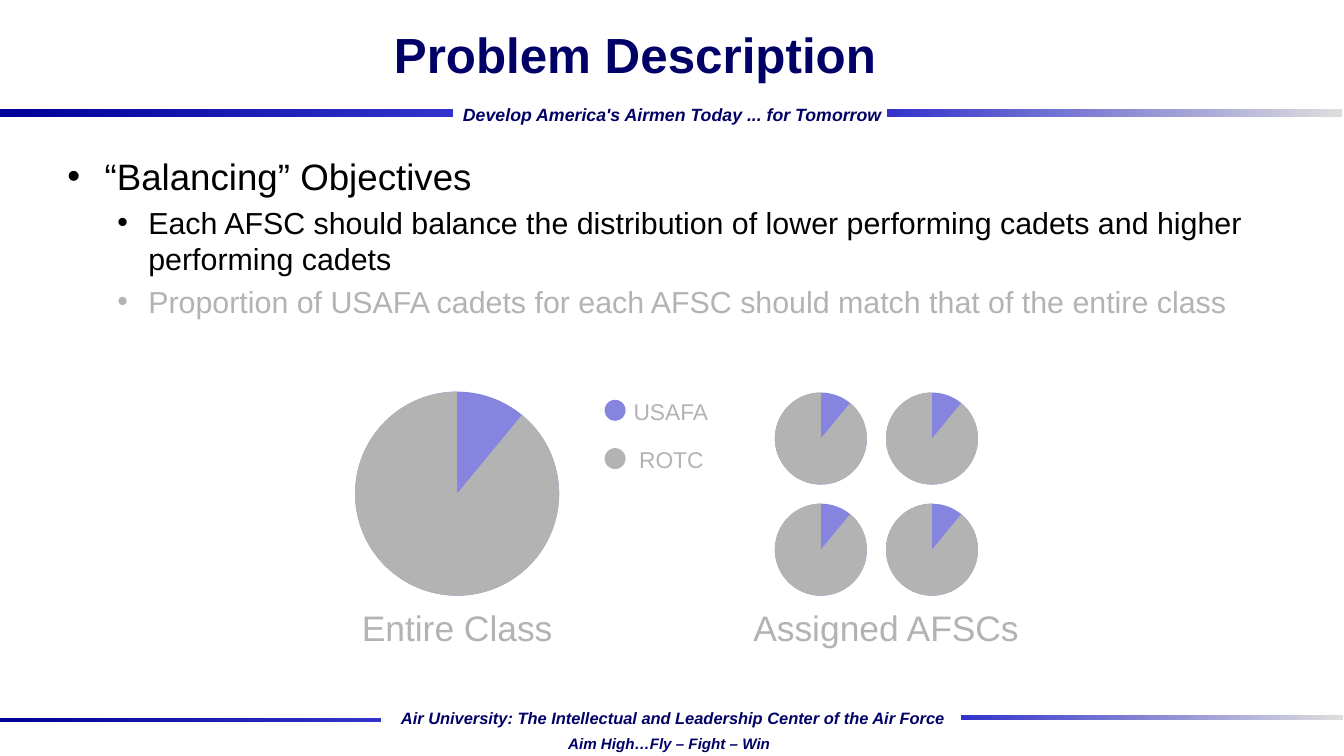
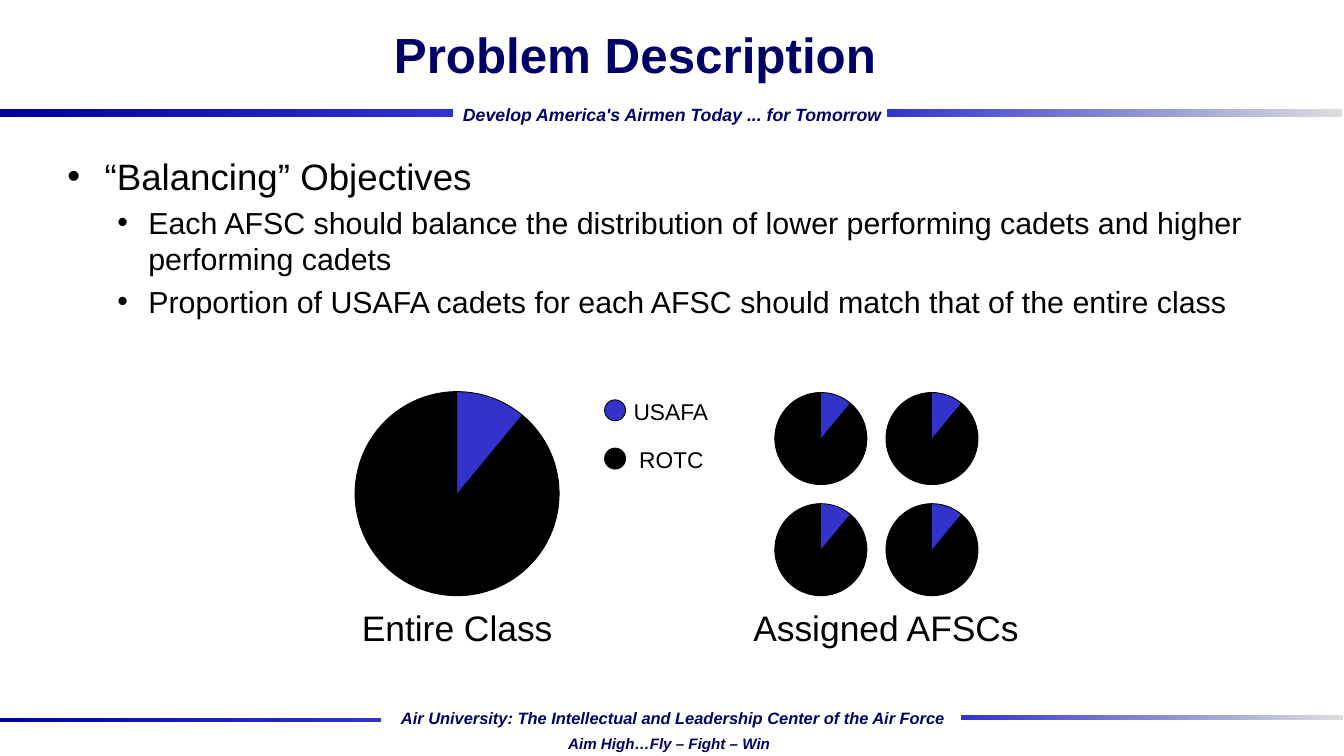
"""Build two slides on balancing objectives, first dimmed and then in full."""
from itertools import product

from lxml import etree
from pptx import Presentation
from pptx.dml.color import RGBColor
from pptx.enum.shapes import MSO_SHAPE
from pptx.enum.text import MSO_ANCHOR, PP_ALIGN
from pptx.oxml.ns import qn
from pptx.util import Inches, Pt

RECT, OVAL, PIE = MSO_SHAPE.RECTANGLE, MSO_SHAPE.OVAL, MSO_SHAPE.PIE
LEFT, CENTER = PP_ALIGN.LEFT, PP_ALIGN.CENTER
TOP, MIDDLE = MSO_ANCHOR.TOP, MSO_ANCHOR.MIDDLE

FONT = "Arial"
NAVY = RGBColor(0x00, 0x00, 0x66)
DEEP = RGBColor(0x00, 0x00, 0x99)
BLUE = RGBColor(0x33, 0x33, 0xCC)
PALE = RGBColor(0x85, 0x85, 0xE0)
SILVER = RGBColor(0xDD, 0xDD, 0xDD)
GRAY = RGBColor(0xB3, 0xB3, 0xB3)
BLACK = RGBColor(0x00, 0x00, 0x00)

BANDS = [
    (-0.02, 1.2, 5, 0.09, DEEP, BLUE),
    (9.74, 1.2, 5, 0.09, BLUE, SILVER),
    (-0.02, 7.88, 4.2, 0.05, DEEP, BLUE),
    (10.55, 7.85, 4.2, 0.05, BLUE, SILVER),
]
MOTTOS = [
    (4.97, 1.09, 4.83, 0.34, "Develop America's Airmen Today ... for Tomorrow", 14),
    (4.26, 7.72, 6.25, 0.31,
     "Air University: The Intellectual and Leadership Center of the Air Force", 13),
    (6.11, 8.01, 2.48, 0.29, "Aim High…Fly – Fight – Win", 12),
]
WEDGE = (185.727, 162)


def style(para, size, color, bold=False, italic=False):
    """Set the font of every run in a paragraph."""
    for run in para.runs:
        font = run.font
        font.name, font.size = FONT, Pt(size)
        font.bold, font.italic = bold, italic
        font.color.rgb = color


def label(shapes, box, text, size, color, align=CENTER, wrap=True,
          anchor=TOP, bold=False, italic=False):
    """Add a one-paragraph text box."""
    frame = shapes.add_textbox(*map(Inches, box)).text_frame
    frame.word_wrap, frame.vertical_anchor = wrap, anchor
    frame.text = text
    para = frame.paragraphs[0]
    para.alignment = align
    style(para, size, color, bold, italic)


def solid(shapes, kind, box, color, edge=None):
    """Add a plain filled shape with an optional thin edge."""
    shape = shapes.add_shape(kind, *map(Inches, box))
    shape.shadow.inherit = False
    shape.fill.solid()
    shape.fill.fore_color.rgb = color
    if edge is None:
        shape.line.fill.background()
    else:
        shape.line.color.rgb = edge
        shape.line.width = Pt(0.75)
    return shape


def band(shapes, box, start, end):
    """Add a bar that fades from one colour to another."""
    fill = solid(shapes, RECT, box, start).fill
    fill.gradient()
    fill.gradient_angle = 0
    for stop, color in zip(fill.gradient_stops, (start, end)):
        stop.color.rgb = color


def frame(slide, title):
    """Add the title, bands and mottos that all slides share."""
    for *box, start, end in BANDS:
        band(slide.shapes, box, start, end)
    for *box, text, size in MOTTOS:
        label(slide.shapes, box, text, size, NAVY, wrap=False, bold=True, italic=True)
    label(slide.shapes, (1.26, 0, 11.43, 1.17), title, 39, NAVY,
          anchor=MIDDLE, bold=True)


def bullets(slide, box, items):
    """Add a bulleted list of (level, text, colour) items."""
    body = slide.shapes.add_textbox(*map(Inches, box)).text_frame
    body.word_wrap = True
    body.margin_left = body.margin_right = Inches(0.11)
    body.text = "\n".join(text for _, text, _ in items)
    for place, (para, (level, _, color)) in enumerate(zip(body.paragraphs, items)):
        left, hang, size = ((0.41, 0.41, 29), (0.89, 0.34, 24))[level]
        para.level = level
        props = para._p.get_or_add_pPr()
        props.set("marL", str(Inches(left)))
        props.set("indent", str(-Inches(hang)))
        if place:
            para.space_before = Pt(size * 0.2)
        etree.SubElement(props, qn("a:buFont")).set("typeface", FONT)
        etree.SubElement(props, qn("a:buChar")).set("char", "•")
        style(para, size, color)


def pie(shapes, left, top, size, part, rest, edge):
    """Add a disc with a wedge of one colour and the rest in another."""
    box = left, top, size, size
    solid(shapes, OVAL, box, part, edge)
    cover = solid(shapes, PIE, box, rest)
    for place, value in enumerate(WEDGE):
        cover.adjustments[place] = value


def figure(slide, part, rest, edge):
    """Add the class pie, the key and the grid of assigned pies."""
    shapes = slide.shapes.add_group_shape().shapes
    pie(shapes, 3.9, 4.3, 2.24, part, rest, edge)
    for row, col in product(range(2), repeat=2):
        pie(shapes, 8.51 + 1.22 * col, 4.31 + 1.22 * row, 1.01, part, rest, edge)
    keys = (("USAFA", part, 6.86, 1.03), ("ROTC", rest, 6.92, 0.92))
    for row, (text, color, left, width) in enumerate(keys):
        top = 4.39 + 0.53 * row
        solid(shapes, OVAL, (6.64, top, 0.23, 0.23), color, edge)
        label(shapes, (left, top - 0.07, width, 0.4), text, 18, rest, LEFT, wrap=False)
    for left, text in ((2.7, "Entire Class"), (7.41, "Assigned AFSCs")):
        label(shapes, (left, 6.6, 4.64, 0.87), text, 28, rest)


def main():
    """Build and save the deck."""
    deck = Presentation()
    deck.slide_width, deck.slide_height = Inches(14.76), Inches(8.3)
    for part, rest, edge in ((PALE, GRAY, None), (BLUE, BLACK, BLACK)):
        slide = deck.slides.add_slide(deck.slide_layouts[6])
        frame(slide, "Problem Description")
        bullets(slide, (0.63, 1.64, 13.27, 6.01), [
            (0, "“Balancing” Objectives", BLACK),
            (1, "Each AFSC should balance the distribution of lower performing "
                "cadets and higher performing cadets", BLACK),
            (1, "Proportion of USAFA cadets for each AFSC should match that of "
                "the entire class", rest),
        ])
        figure(slide, part, rest, edge)
    deck.save("out.pptx")


if __name__ == "__main__":
    main()
